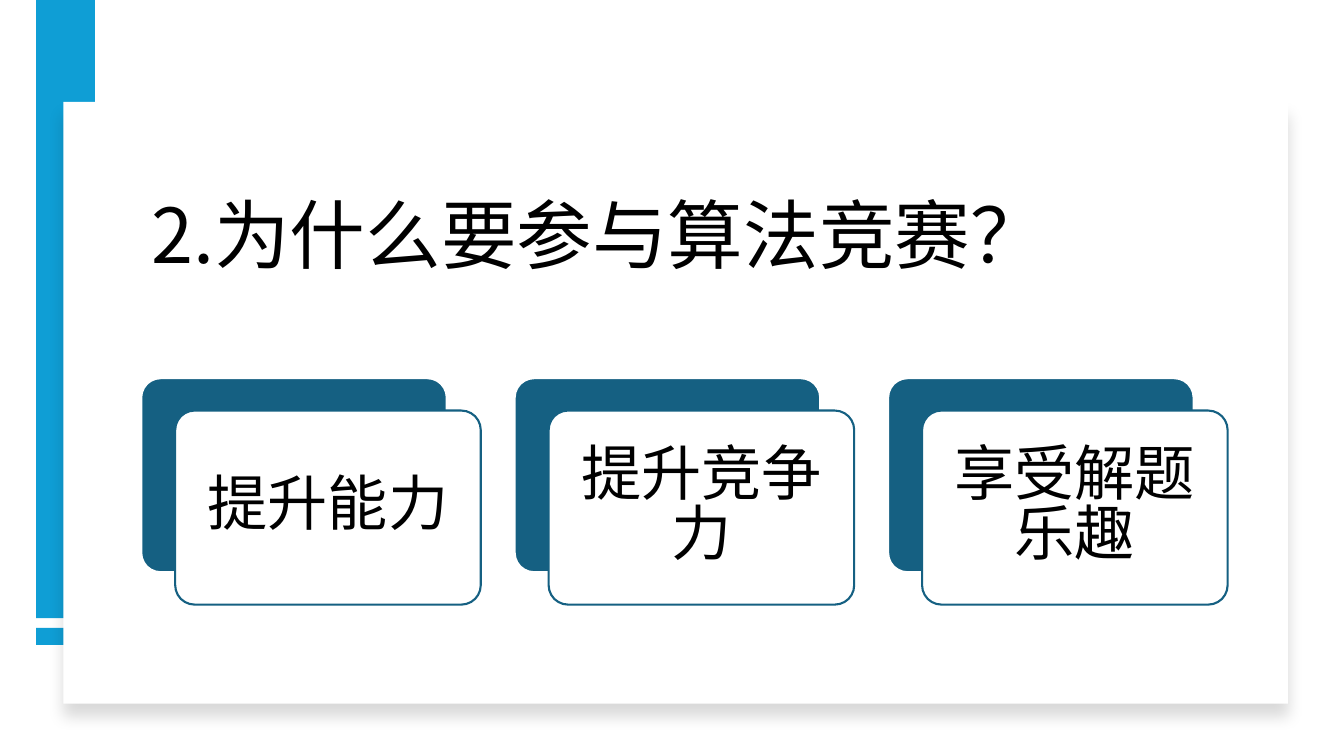
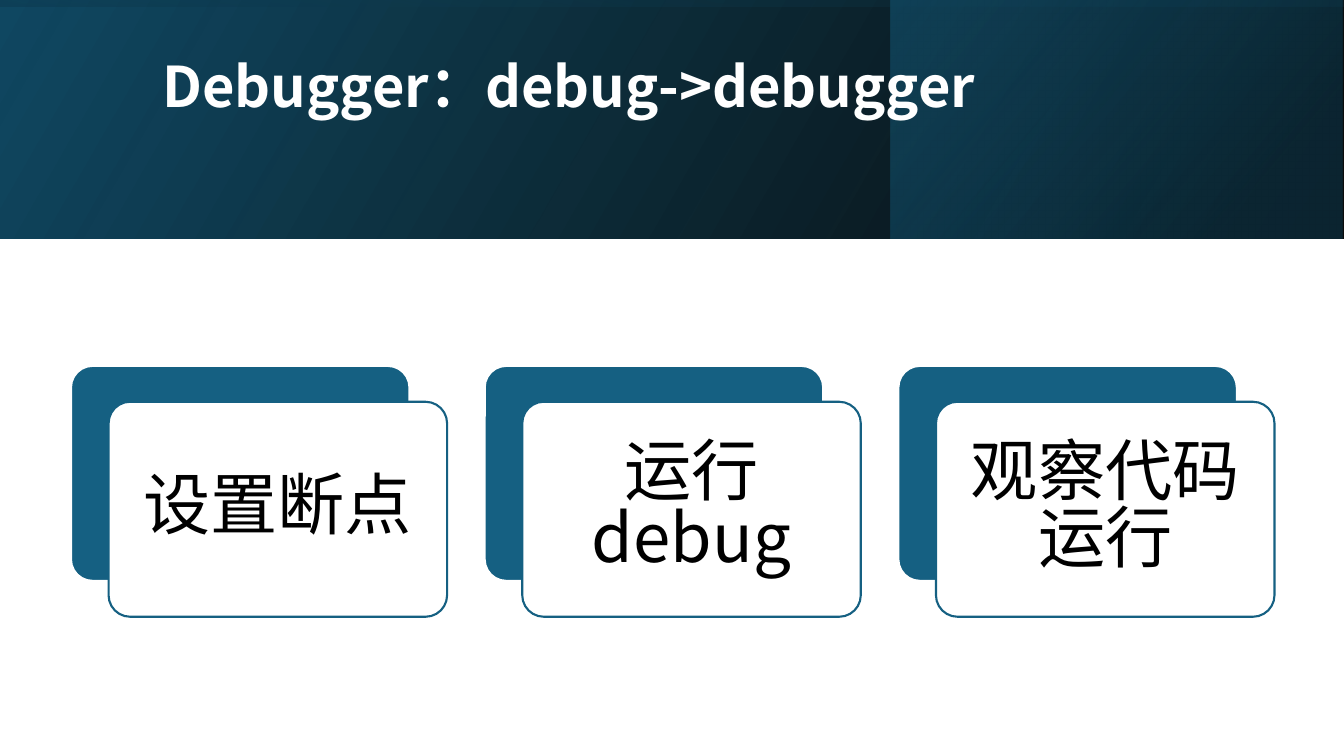
import dataclasses
import typing

import pptx
import pptx.dml.color
import pptx.enum.shapes
import pptx.enum.text
import pptx.oxml
import pptx.oxml.ns
import pptx.util

Cm = pptx.util.Cm
SHAPES = pptx.enum.shapes.MSO_SHAPE
ANCHOR = pptx.enum.text.MSO_ANCHOR
ALIGN = pptx.enum.text.PP_ALIGN

FONT = "Noto Sans CJK SC"
BLACK = "000000"
WHITE = "FFFFFF"
ACCENT = "156082"
BRIGHT = "0F9ED5"
NAVY = "104862"
DEEP = "0B3041"

SLIDE_WIDTH = 33.87
SLIDE_HEIGHT = 19.05
BAND_HEIGHT = 6.02
TITLE_ONLY_LAYOUT = 5


@dataclasses.dataclass(frozen=True)
class Box:
    """A rectangle in centimetres."""
    left: float
    top: float
    width: float
    height: float

    def lengths(self) -> list[int]:
        return [Cm(value) for value in dataclasses.astuple(self)]


@dataclasses.dataclass(frozen=True)
class Stop:
    """A gradient stop; position and opacity are percentages."""
    position: int
    color: str
    opacity: int


@dataclasses.dataclass(frozen=True)
class Band:
    box: Box
    angle: int
    stops: tuple[Stop, ...]


@dataclasses.dataclass(frozen=True)
class CardRow:
    left: float
    top: float
    width: float
    size: int
    labels: tuple[str, ...]


BARS = (Box(0.91, 15.82, 1.48, 0.43), Box(0.91, 0, 1.48, 15.58))
PANEL = Box(1.6, 2.57, 30.86, 15.16)
FULL_BAND = Box(0, 0, SLIDE_WIDTH, BAND_HEIGHT)
BANDS = (
    Band(FULL_BAND, 210, (Stop(0, BLACK, 96), Stop(100, NAVY, 100))),
    Band(Box(22.45, 0, 11.39, BAND_HEIGHT), 220,
         (Stop(19, DEEP, 68), Stop(100, ACCENT, 48))),
    Band(FULL_BAND, 100, (Stop(23, NAVY, 16), Stop(99, BLACK, 45))),
)
REASONS = CardRow(3.56, 9.53, 7.7, 43, ("提升能力", "提升竞争力", "享受解题乐趣"))
STEPS = CardRow(1.79, 9.22, 8.53, 48, ("设置断点", "运行debug", "观察代码运行"))


def rgb(color: str) -> pptx.dml.color.RGBColor:
    return pptx.dml.color.RGBColor.from_string(color)


def apply_format(target: typing.Any, values: dict[str, typing.Any]) -> None:
    for name, value in values.items():
        setattr(target, name, value)


def parse_drawing(tag: str, attributes: str, content: str) -> typing.Any:
    """Return a DrawingML element built from its tag, attributes and content."""
    namespace = pptx.oxml.ns.nsdecls("a")
    return pptx.oxml.parse_xml(f"<a:{tag} {namespace} {attributes}>{content}</a:{tag}>")


def color_xml(color: str, opacity: int) -> str:
    return f'<a:srgbClr val="{color}"><a:alpha val="{opacity * 1000}"/></a:srgbClr>'


def add_block(page: typing.Any, box: Box, fill: str, line: str | None = None,
              preset: typing.Any = SHAPES.RECTANGLE) -> typing.Any:
    block = page.shapes.add_shape(preset, *box.lengths())
    block.shadow.inherit = False
    block.fill.solid()
    block.fill.fore_color.rgb = rgb(fill)
    if line:
        block.line.color.rgb = rgb(line)
        block.line.width = pptx.util.Pt(1.5)
    else:
        block.line.fill.background()
    return block


def write_text(frame: typing.Any, text: str, font: dict[str, typing.Any],
               paragraph: dict[str, typing.Any], layout: dict[str, typing.Any]) -> None:
    apply_format(frame, {"word_wrap": True, **layout})
    para = frame.paragraphs[0]
    apply_format(para, paragraph)
    span = para.add_run()
    span.text = text
    apply_format(span.font, {"name": FONT, **font})
    properties = span.font.fill and span.font
    properties.color.rgb = rgb(font_color(frame))
    span.font.language_id = None
    latin = span._r.get_or_add_rPr().find(pptx.oxml.ns.qn("a:latin"))
    latin.addnext(parse_drawing("ea", f'typeface="{FONT}"', ""))


def font_color(frame: typing.Any) -> str:
    """Titles anchored in the middle of a dark band are white, all other text black."""
    title = frame._parent.is_placeholder
    return WHITE if title and frame.vertical_anchor == ANCHOR.MIDDLE else BLACK


def add_title(page: typing.Any, text: str, box: Box, anchor: typing.Any,
              size: int, bold: bool) -> None:
    title = page.shapes.title
    apply_format(title, dict(zip(("left", "top", "width", "height"), box.lengths())))
    write_text(
        title.text_frame, text,
        {"size": pptx.util.Pt(size), "bold": bold},
        {"alignment": ALIGN.LEFT, "line_spacing": 0.9},
        {"vertical_anchor": anchor, "auto_size": pptx.enum.text.MSO_AUTO_SIZE.NONE},
    )
    page.shapes.element.append(title.element)  # bring to front


def add_panel(page: typing.Any) -> None:
    panel = add_block(page, PANEL, WHITE)
    effects = panel.element.spPr.find(pptx.oxml.ns.qn("a:effectLst"))
    effects.append(parse_drawing(
        "outerShdw",
        f'blurRad="{pptx.util.Pt(11)}" dist="{pptx.util.Pt(10)}" dir="5400000" rotWithShape="0"',
        color_xml(BLACK, 15)))


def add_band(page: typing.Any, band: Band) -> None:
    block = add_block(page, band.box, NAVY)
    stops = "".join(
        f'<a:gs pos="{stop.position * 1000}">{color_xml(stop.color, stop.opacity)}</a:gs>'
        for stop in band.stops)
    gradient = parse_drawing(
        "gradFill", 'rotWithShape="1"',
        f'<a:gsLst>{stops}</a:gsLst><a:lin ang="{band.angle * 60000}" scaled="0"/>')
    properties = block.element.spPr
    properties.replace(properties.find(pptx.oxml.ns.qn("a:solidFill")), gradient)


def add_cards(page: typing.Any, row: CardRow) -> None:
    """Draw equal cards, each a white face shifted over a coloured back."""
    height = row.width * 0.635
    shift = row.width / 9
    drop = row.width * 0.106
    inset = Cm(0.33)
    for index, label in enumerate(row.labels):
        left = row.left + index * row.width * 11 / 9
        back = Box(left, row.top, row.width, height)
        front = Box(left + shift, row.top + drop, row.width, height)
        for box, fill, line in ((back, ACCENT, WHITE), (front, WHITE, ACCENT)):
            card = add_block(page, box, fill, line, SHAPES.ROUNDED_RECTANGLE)
            card.adjustments[0] = 0.1
        write_text(
            card.text_frame, label,
            {"size": pptx.util.Pt(row.size)},
            {"alignment": ALIGN.CENTER, "line_spacing": 0.83},
            {"vertical_anchor": ANCHOR.MIDDLE, "margin_left": inset, "margin_right": inset,
             "margin_top": inset, "margin_bottom": inset},
        )


def add_page(deck: typing.Any) -> typing.Any:
    return deck.slides.add_slide(deck.slide_layouts[TITLE_ONLY_LAYOUT])


def build_reasons(deck: typing.Any) -> None:
    page = add_page(deck)
    for bar in BARS:
        add_block(page, bar, BRIGHT)
    add_panel(page)
    add_title(page, "2.为什么要参与算法竞赛？", Box(3.56, 3.43, 27.36, 3.76),
              ANCHOR.BOTTOM, 54, False)
    add_cards(page, REASONS)


def build_debugger(deck: typing.Any) -> None:
    page = add_page(deck)
    for band in BANDS:
        add_band(page, band)
    add_title(page, "Debugger：debug->debugger", Box(3.84, 0.97, 27, 2.54),
              ANCHOR.MIDDLE, 40, True)
    add_cards(page, STEPS)


def main() -> None:
    deck = pptx.Presentation()
    deck.slide_width = Cm(SLIDE_WIDTH)
    deck.slide_height = Cm(SLIDE_HEIGHT)
    build_reasons(deck)
    build_debugger(deck)
    deck.save("out.pptx")


if __name__ == "__main__":
    main()
